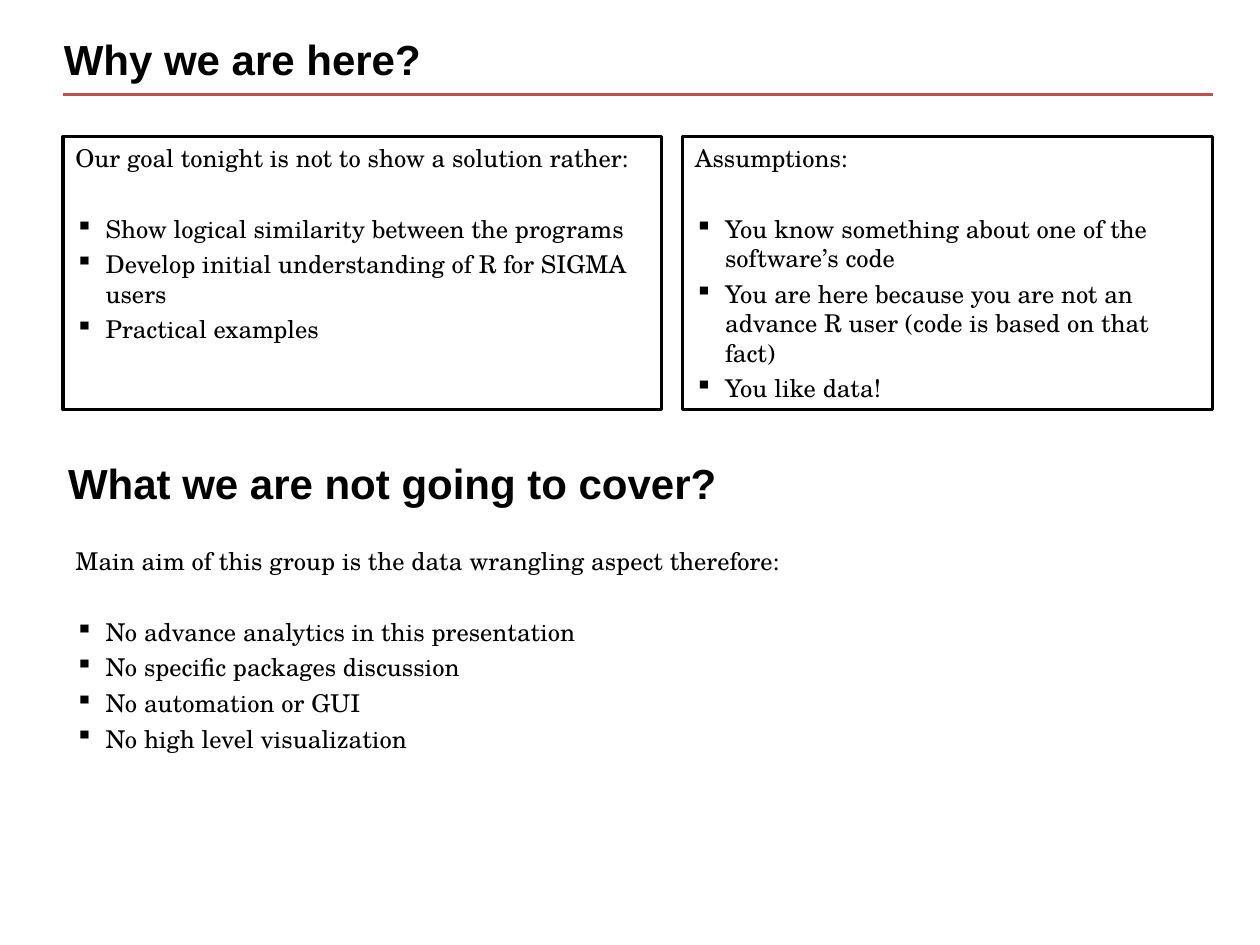
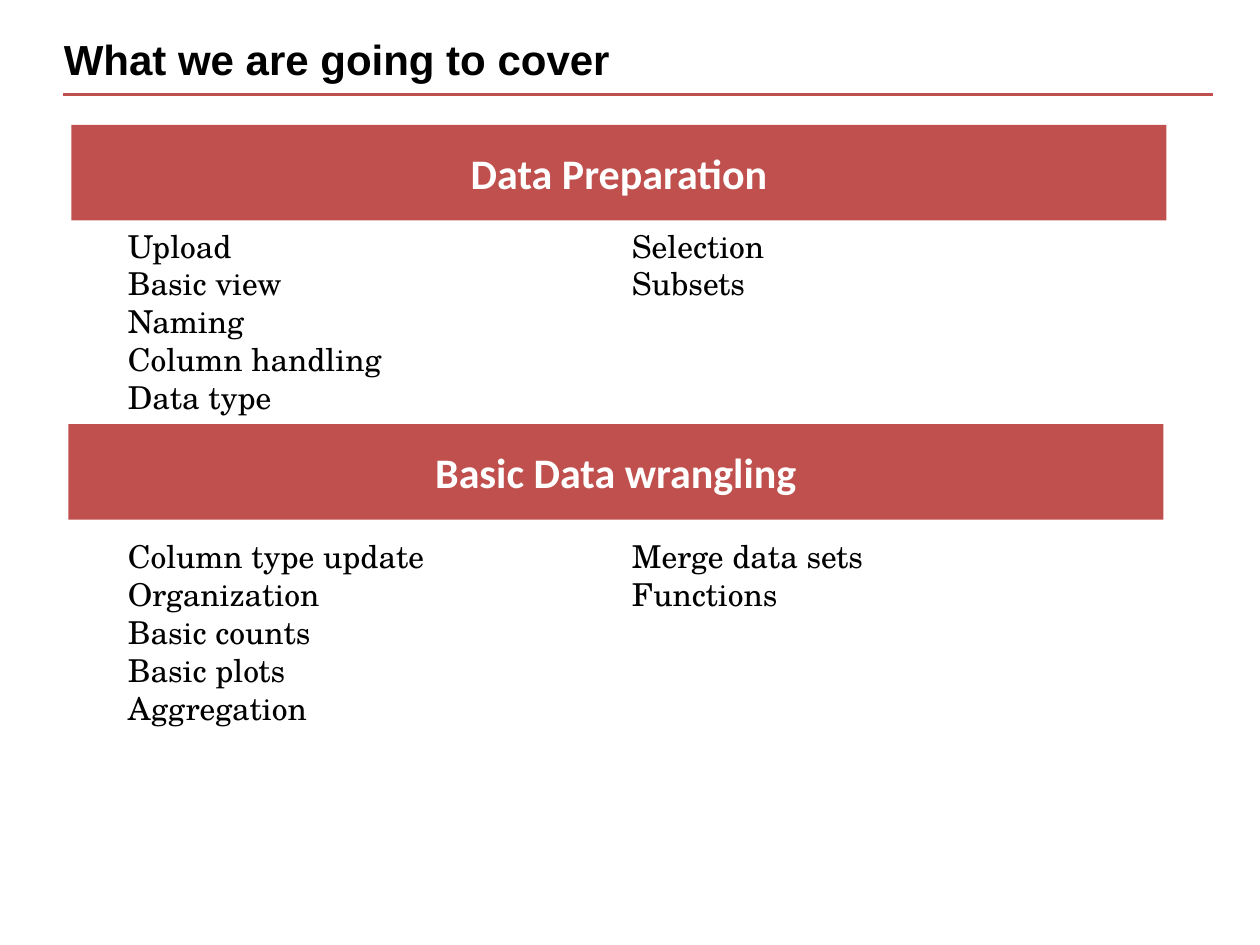
from dataclasses import dataclass

from lxml import etree
from pptx import Presentation
from pptx import util as u
from pptx.dml.color import RGBColor
from pptx.enum import shapes, text
from pptx.oxml.ns import qn

COLS, ROWS = 120, 90


@dataclass(frozen=True)
class Theme:
    ink: str = "000000"
    paper: str = "FFFFFF"
    accent: str = "C0504D"
    line: float = 2
    space: float = 3.5
    intro_gap: float = 23.8
    hang: float = 0.24
    title = dict(name="Arial", size=u.Pt(24), bold=True)
    band = dict(name="Calibri", size=u.Pt(24), bold=True)
    body = dict(name="TeX Gyre Schola", size=u.Pt(14))
    topic = dict(name="TeX Gyre Schola", size=u.Pt(18))


class Deck:
    """Draws on the current slide; lengths are grid columns and rows."""

    def __init__(self, theme):
        self.theme = theme
        self.prs = Presentation()
        self.prs.slide_width, self.prs.slide_height = u.Inches(10), u.Inches(7.5)
        self.s = None

    def grid(self, *lengths):
        """Turn alternating column and row counts into EMU."""
        units = self.prs.slide_width / COLS, self.prs.slide_height / ROWS
        return [u.Emu(round(n * units[i % 2])) for i, n in enumerate(lengths)]

    def slide(self, title):
        self.s = self.prs.slides.add_slide(self.prs.slide_layouts[6])
        self.heading(title, 4.9, 2.6)
        self.rule(6, 115.5, 9)

    def rule(self, left, right, row):
        sp = self.s.shapes.add_connector(
            shapes.MSO_CONNECTOR.STRAIGHT, *self.grid(left, row, right, row))
        self.outline(sp, self.theme.accent)
        etree.SubElement(sp._element.spPr, qn("a:effectLst"))

    def outline(self, sp, color):
        sp.line.color.rgb = RGBColor.from_string(color)
        sp.line.width = u.Pt(self.theme.line)

    def rect(self, box, fill):
        sp = self.s.shapes.add_shape(shapes.MSO_SHAPE.RECTANGLE, *self.grid(*box))
        sp.shadow.inherit = False
        sp.fill.solid()
        sp.fill.fore_color.rgb = RGBColor.from_string(fill)
        return sp

    def textbox(self, box):
        return self.s.shapes.add_textbox(*self.grid(*box))

    def set_lines(self, sp, lines, font, color=None, **frame):
        """Fill a shape with one paragraph a line and return the paragraphs."""
        tf = sp.text_frame
        settings = dict(word_wrap=True, vertical_anchor=text.MSO_ANCHOR.TOP)
        for key, value in (settings | frame).items():
            setattr(tf, key, value)
        for i, line in enumerate(lines):
            p = tf.add_paragraph() if i else tf.paragraphs[0]
            p.alignment = text.PP_ALIGN.LEFT
            r = p.add_run()
            r.text = line
            for key, value in font.items():
                setattr(r.font, key, value)
            r.font.color.rgb = RGBColor.from_string(color or self.theme.ink)
        return tf.paragraphs

    def heading(self, line, col, row):
        self.set_lines(self.textbox((col, row, 108, 8.4)), [line], self.theme.title)

    def bullet(self, p):
        pPr = p._p.get_or_add_pPr()
        hang = u.Inches(self.theme.hang)
        pPr.set("marL", str(hang))
        pPr.set("indent", str(-hang))
        etree.SubElement(pPr, qn("a:buChar"), char="▪")

    def points(self, box, intro, items, framed=False):
        """An introductory line, a gap and a bulleted list."""
        if framed:
            sp = self.rect(box, self.theme.paper)
            self.outline(sp, self.theme.ink)
        else:
            sp = self.textbox(box)
        for i, p in enumerate(self.set_lines(sp, [intro, *items], self.theme.body)):
            p.space_before = u.Pt(self.theme.intro_gap if i == 1 else self.theme.space)
            if i:
                self.bullet(p)

    def band(self, label, col, row):
        sp = self.rect((col, row, 104.3, 9.1), self.theme.accent)
        sp.line.fill.background()
        p, = self.set_lines(sp, [label], self.theme.band, self.theme.paper,
                            vertical_anchor=text.MSO_ANCHOR.MIDDLE)
        p.alignment = text.PP_ALIGN.CENTER

    def topics(self, row, *columns):
        for col, items in zip((11, 59), columns):
            sp = self.textbox((col, row, 48, 1.2 + 3.6 * len(items)))
            self.set_lines(sp, items, self.theme.topic,
                           auto_size=text.MSO_AUTO_SIZE.SHAPE_TO_FIT_TEXT)


def goals(deck):
    deck.slide("Why we are here?")
    deck.points((6, 13, 57, 26), "Our goal tonight is not to show a solution rather:", [
        "Show logical similarity between the programs",
        "Develop initial understanding of R for SIGMA users",
        "Practical examples",
    ], framed=True)
    deck.points((65, 13, 50.5, 26), "Assumptions:", [
        "You know something about one of the software’s code",
        "You are here because you are not an advance R user "
        "(code is based on that fact)",
        "You like data!",
    ], framed=True)
    deck.heading("What we are not going to cover?", 5.3, 43)
    deck.points((6, 51.4, 76, 23),
                "Main aim of this group is the data wrangling aspect therefore:", [
        "No advance analytics in this presentation",
        "No specific packages discussion",
        "No automation or GUI",
        "No high level visualization",
    ])


def agenda(deck):
    deck.slide("What we are going to cover")
    deck.band("Data Preparation", 6.8, 11.9)
    deck.topics(21, ["Upload", "Basic view", "Naming", "Column handling", "Data type"],
                ["Selection", "Subsets"])
    deck.band("Basic Data wrangling", 6.5, 40.4)
    deck.topics(50.6, ["Column type update", "Organization", "Basic counts",
                       "Basic plots", "Aggregation"],
                ["Merge data sets", "Functions"])


def main():
    deck = Deck(Theme())
    goals(deck)
    agenda(deck)
    deck.prs.save("out.pptx")


if __name__ == "__main__":
    main()
